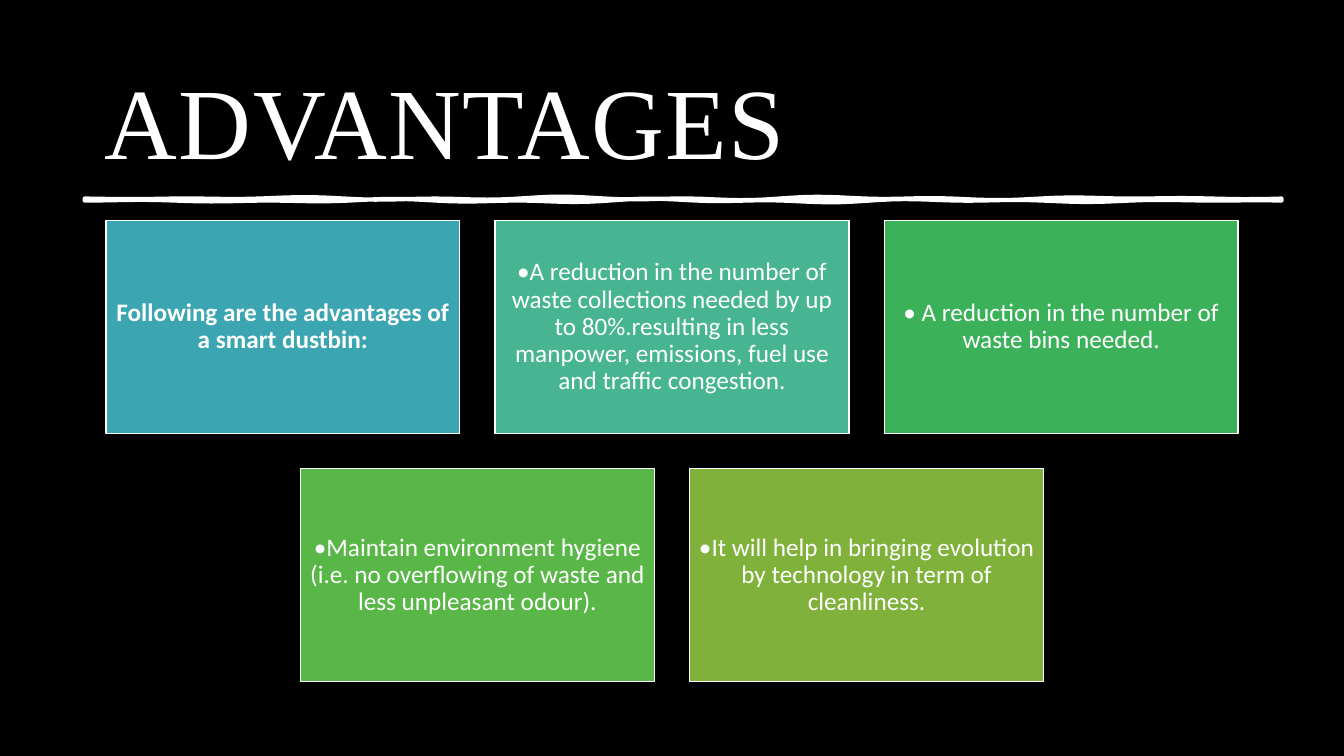
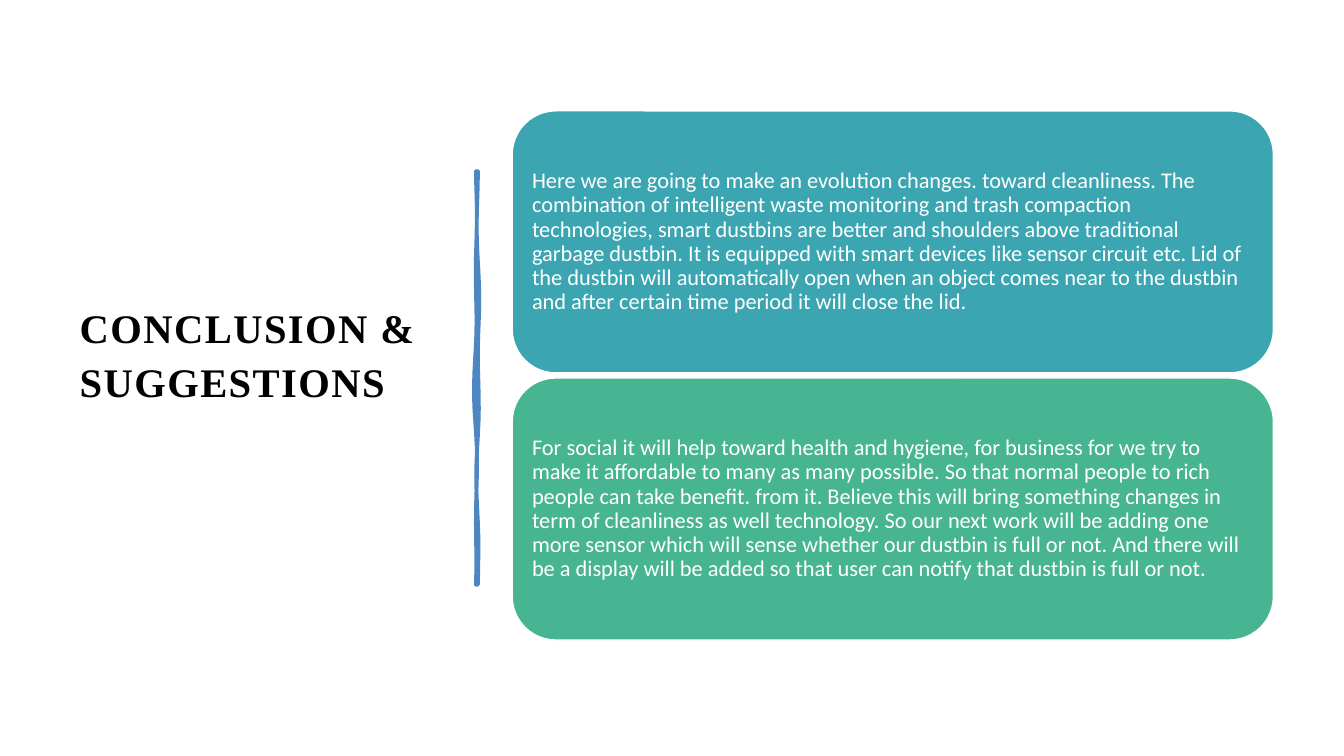
import math

import pptx
import pptx.dml.color
import pptx.enum.shapes
import pptx.enum.text
import pptx.util

RGB = pptx.dml.color.RGBColor
Inches = pptx.util.Inches
Pt = pptx.util.Pt
SHAPE = pptx.enum.shapes.MSO_SHAPE
ALIGN = pptx.enum.text.PP_ALIGN
ANCHOR = pptx.enum.text.MSO_ANCHOR

WIDE, HIGH = 13.33, 7.5
BLACK = RGB(0x00, 0x00, 0x00)
WHITE = RGB(0xFF, 0xFF, 0xFF)
BLUE = RGB(0x4D, 0x87, 0xC3)
TEAL = RGB(0x3B, 0xA6, 0xB1)
MINT = RGB(0x47, 0xB5, 0x91)
GREEN = RGB(0x3B, 0xB1, 0x5A)
LEAF = RGB(0x59, 0xB7, 0x48)
OLIVE = RGB(0x7F, 0xB1, 0x3B)

# Each row is a list of cards: text, fill, bold
GAINS = [
    [
        ("Following are the advantages of a smart dustbin:", TEAL, True),
        ("•A reduction in the number of waste collections needed by up to "
         "80%.resulting in less manpower, emissions, fuel use and traffic "
         "congestion.", MINT, False),
        ("• A reduction in the number of waste bins needed.", GREEN, False),
    ],
    [
        ("•Maintain environment hygiene (i.e. no overflowing of waste and "
         "less unpleasant odour).", LEAF, False),
        ("•It will help in bringing evolution by technology in term of "
         "cleanliness.", OLIVE, False),
    ],
]
CLOSING = [
    ("Here we are going to make an evolution changes. toward cleanliness. "
     "The combination of intelligent waste monitoring and trash compaction "
     "technologies, smart dustbins are better and shoulders above "
     "traditional garbage dustbin. It is equipped with smart devices like "
     "sensor circuit etc. Lid of the dustbin will automatically open when "
     "an object comes near to the dustbin and after certain time period it "
     "will close the lid.", TEAL),
    ("For social it will help toward health and hygiene, for business for we "
     "try to make it affordable to many as many possible. So that normal "
     "people to rich people can take benefit. from it. Believe this will "
     "bring something changes in term of cleanliness as well technology. So "
     "our next work will be adding one more sensor which will sense whether "
     "our dustbin is full or not. And there will be a display will be added "
     "so that user can notify that dustbin is full or not.", MINT),
]


def style_text(frame, font, size, color, bold, align, spacing):
    frame.word_wrap = True
    frame.auto_size = pptx.enum.text.MSO_AUTO_SIZE.NONE
    frame.vertical_anchor = ANCHOR.MIDDLE
    for para in frame.paragraphs:
        para.alignment = align
        para.line_spacing = spacing
        for run in para.runs:
            run.font.name = font
            run.font.size = Pt(size)
            run.font.bold = bold
            run.font.color.rgb = color


def set_insets(frame, side, edge):
    frame.margin_left = frame.margin_right = Inches(side)
    frame.margin_top = frame.margin_bottom = Inches(edge)


def add_page(deck, back, text, box, size, color, bold=False):
    """Add a slide with a plain background and a left-aligned title."""
    page = deck.slides.add_slide(deck.slide_layouts[5])
    page.background.fill.solid()
    page.background.fill.fore_color.rgb = back
    title = page.shapes.title
    title.left, title.top, title.width, title.height = map(Inches, box)
    frame = title.text_frame
    frame.text = text
    style_text(frame, "Times New Roman", size, color, bold, ALIGN.LEFT, 1.1)
    for run in frame.paragraphs[0].runs:
        run.font._element.set("spc", "100")
    return page


def add_card(page, kind, box, text, fill, size, bold, align, side):
    card = page.shapes.add_shape(kind, *map(Inches, box))
    card.shadow.inherit = False
    card.fill.solid()
    card.fill.fore_color.rgb = fill
    card.line.color.rgb = WHITE
    card.line.width = Pt(1)
    frame = card.text_frame
    frame.text = text
    set_insets(frame, side, 0.07)
    style_text(frame, "Calibri", size, WHITE, bold, align, 0.9)


def add_stroke(page, left, top, length, color, weight, upright=False):
    """Draw a hand-made line: a thin band whose two edges waver."""
    steps, thick, sway = round(length * 8), 0.02, 0.01

    def edge(step, base, phase):
        along = length * step / steps
        fade = math.sin(math.pi * step / steps) ** 0.5 if 0 < step < steps else 0
        wave = math.sin(5 * along + phase) + math.sin(2.3 * along + 2 * phase)
        across = base + sway * fade * wave
        shift = (across, along) if upright else (along, across)
        return Inches(left + shift[0]), Inches(top + shift[1])

    points = [edge(step, 0, 0) for step in range(steps + 1)]
    points += [edge(step, thick, 2) for step in range(steps, -1, -1)]
    path = page.shapes.build_freeform(*points[0])
    path.add_line_segments(points[1:], close=True)
    stroke = path.convert_to_shape()
    stroke.shadow.inherit = False
    stroke.fill.solid()
    stroke.fill.fore_color.rgb = color
    stroke.line.color.rgb = color
    stroke.line.width = Pt(weight)


def add_gains(deck):
    page = add_page(deck, BLACK, "ADVANTAGES", (0.92, 0.4, 11.5, 1.45),
                    72, WHITE)
    set_insets(page.shapes.title.text_frame, 0.12, 0.12)
    add_stroke(page, 0.84, 1.97, 11.87, WHITE, 3)
    wide, high, gap, top = 3.51, 2.11, 0.35, 2.19
    for row, cards in enumerate(GAINS):
        span = len(cards) * (wide + gap) - gap
        for col, (text, fill, bold) in enumerate(cards):
            box = ((WIDE - span) / 2 + col * (wide + gap),
                   top + row * (high + gap), wide, high)
            add_card(page, SHAPE.RECTANGLE, box, text, fill, 18, bold,
                     ALIGN.CENTER, 0.07)


def add_closing(deck):
    page = add_page(deck, WHITE, "CONCLUSION & SUGGESTIONS",
                    (0.69, 0.7, 3.74, 5.58), 29, BLACK, True)
    add_stroke(page, 4.72, 1.7, 4.1, BLUE, 2.75, upright=True)
    high, gap = 2.6, 0.05
    for row, (text, fill) in enumerate(CLOSING):
        box = (5.08, 1.1 + row * (high + gap), 7.55, high)
        add_card(page, SHAPE.ROUNDED_RECTANGLE, box, text, fill, 16, False,
                 ALIGN.LEFT, 0.07)


def main():
    deck = pptx.Presentation()
    deck.slide_width, deck.slide_height = Inches(WIDE), Inches(HIGH)
    add_gains(deck)
    add_closing(deck)
    deck.save("out.pptx")


if __name__ == "__main__":
    main()
